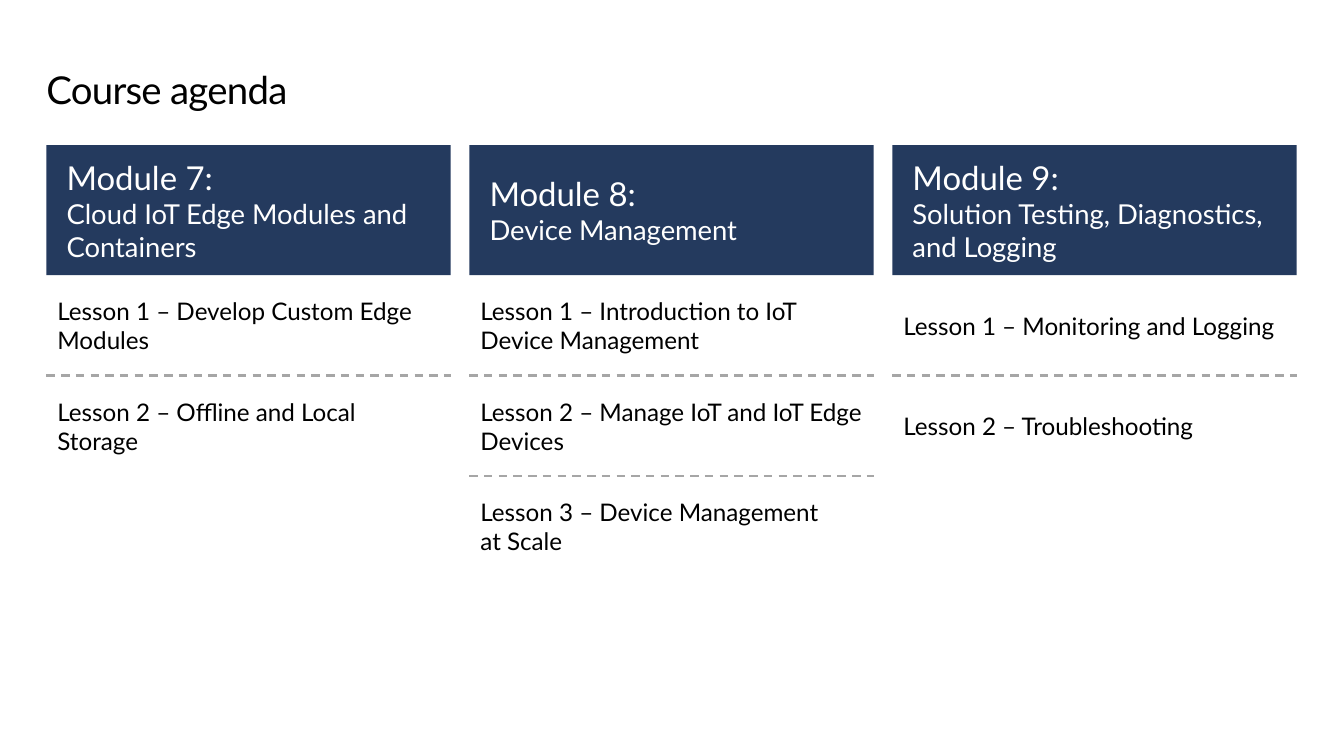
from pptx import Presentation
from pptx import util as u
from pptx.dml.color import RGBColor
from pptx.enum import dml, shapes, text
from pptx.oxml import ns, xmlchemy

LEFT, TOP = 0.46, 1.44
COLUMN_WIDTH, COLUMN_STEP = 4.01, 4.195
HEADER_HEIGHT = 1.29
LESSON_TOP, LESSON_HEIGHT, LESSON_STEP = 2.79, 0.88, 0.995
DIVIDER_GAP = 0.06

MODULES = [
    ("Module 7:", "Cloud IoT Edge Modules and Containers",
     ["Lesson 1 – Develop Custom Edge Modules",
      "Lesson 2 – Offline and Local Storage"]),
    ("Module 8:", "Device Management",
     ["Lesson 1 – Introduction to IoT Device Management",
      "Lesson 2 – Manage IoT and IoT Edge Devices",
      "Lesson 3 – Device Management\nat Scale"]),
    ("Module 9:", "Solution Testing, Diagnostics, and Logging",
     ["Lesson 1 – Monitoring and Logging",
      "Lesson 2 – Troubleshooting"]),
]


def color(value):
    return RGBColor.from_string(value)


def set_frame(box, side, edge, anchor):
    frame = box.text_frame
    frame.word_wrap = True
    frame.vertical_anchor = anchor
    frame.margin_left = frame.margin_right = u.Inches(side)
    frame.margin_top = frame.margin_bottom = u.Inches(edge)
    return frame


def write(para, words, size, ink):
    para.text = words
    para.alignment = text.PP_ALIGN.LEFT
    para.font.name = "Lato"
    para.font.size = u.Pt(size)
    para.font.color.rgb = color(ink)


def add_title(page, words):
    box = page.shapes.add_textbox(*map(u.Inches, (LEFT, 0.68, 12.41, 0.44)))
    para = set_frame(box, 0, 0, text.MSO_ANCHOR.TOP).paragraphs[0]
    write(para, words, 27.4, "000000")
    para.line_spacing = u.Pt(31.4)
    para.runs[0].font._element.set("spc", "-50")


def add_header(page, left, name, topic):
    box = page.shapes.add_shape(
        shapes.MSO_SHAPE.RECTANGLE,
        *map(u.Inches, (left, TOP, COLUMN_WIDTH, HEADER_HEIGHT)))
    box.shadow.inherit = False
    box.fill.solid()
    box.fill.fore_color.rgb = color("243A5E")
    box.line.fill.background()
    frame = set_frame(box, 0.2, 0.15, text.MSO_ANCHOR.MIDDLE)
    write(frame.paragraphs[0], name, 23.5, "FFFFFF")
    write(frame.add_paragraph(), topic, 19.6, "FFFFFF")


def add_lesson(page, left, top, words):
    box = page.shapes.add_textbox(
        *map(u.Inches, (left, top, COLUMN_WIDTH, LESSON_HEIGHT)))
    frame = set_frame(box, 0.11, 0.11, text.MSO_ANCHOR.MIDDLE)
    write(frame.paragraphs[0], words, 17.3, "000000")


def add_divider(page, left, top):
    divider = page.shapes.add_connector(
        shapes.MSO_CONNECTOR.STRAIGHT,
        *map(u.Inches, (left, top, left + COLUMN_WIDTH, top)))
    divider.line.color.rgb = color("A6A6A6")
    divider.line.width = u.Pt(1.5)
    divider.line.dash_style = dml.MSO_LINE.DASH
    divider._element.spPr.append(xmlchemy.OxmlElement("a:effectLst"))


def add_module(page, column, name, topic, lessons):
    left = LEFT + column * COLUMN_STEP
    add_header(page, left, name, topic)
    for row, lesson in enumerate(lessons):
        top = LESSON_TOP + row * LESSON_STEP
        if row:
            add_divider(page, left, top - DIVIDER_GAP)
        add_lesson(page, left, top, lesson)


def main():
    deck = Presentation()
    deck.slide_width, deck.slide_height = u.Inches(13.33), u.Inches(7.5)
    page = deck.slides.add_slide(deck.slide_layouts[6])
    add_title(page, "Course agenda")
    for column, module in enumerate(MODULES):
        add_module(page, column, *module)
    deck.save("out.pptx")


if __name__ == "__main__":
    main()
